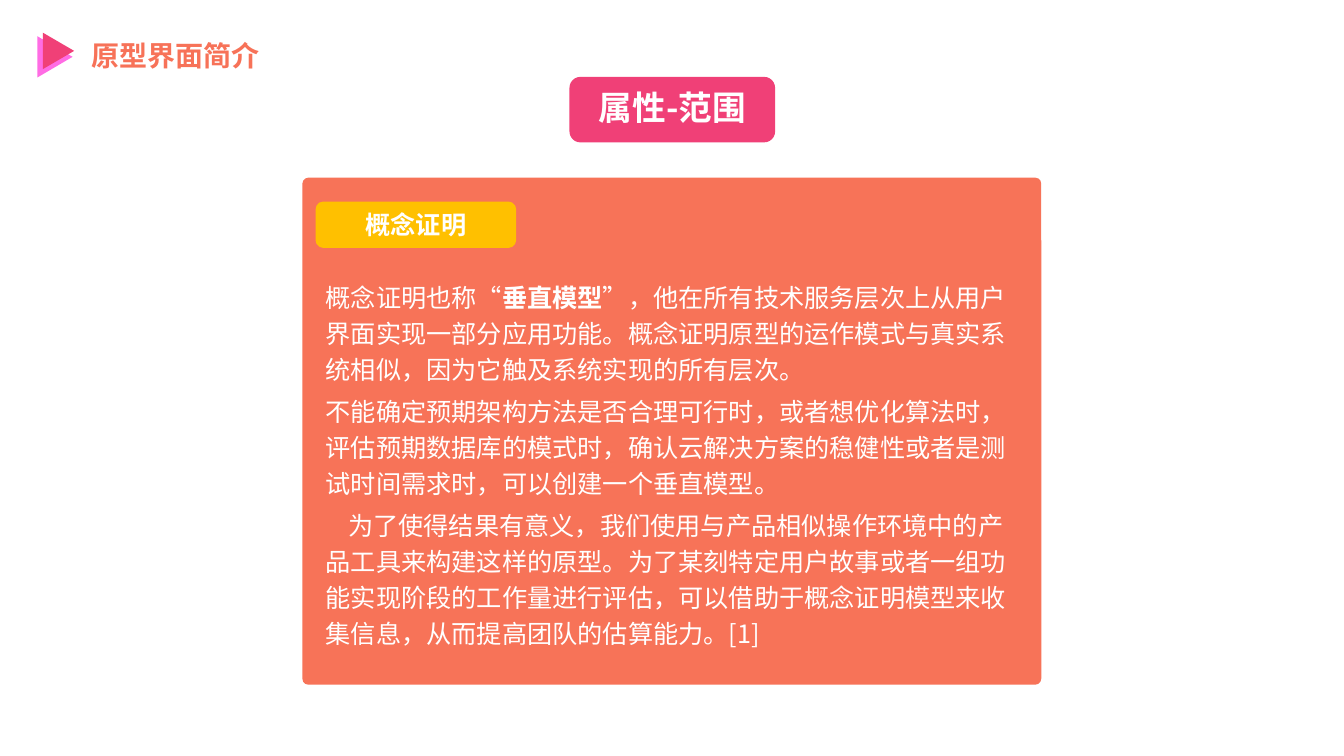
"""Build the slide that introduces the proof-of-concept prototype."""
from dataclasses import dataclass

from lxml import etree
from pptx import Presentation
from pptx import util as u
from pptx.dml.color import RGBColor
from pptx.enum import shapes, text
from pptx.oxml.ns import qn


@dataclass(frozen=True)
class Theme:
    font: str = "Noto Sans CJK SC"
    coral: str = "F77258"
    panel: str = "F77358"
    pink: str = "F04077"
    violet: str = "FF6CE4"
    amber: str = "FFC000"
    white: str = "FFFFFF"
    title: int = 20
    heading: int = 24
    body: int = 18


theme = Theme()


def add_block(kind, left, top, width, height, color, rotation=0):
    block = page.shapes.add_shape(kind, u.Pt(left), u.Pt(top), u.Pt(width), u.Pt(height))
    block.shadow.inherit = False
    block.fill.solid()
    block.fill.fore_color.rgb = RGBColor.from_string(color)
    block.line.fill.background()
    block.rotation = rotation
    return block


def add_span(para, words, size, color, bold):
    span = para.add_run()
    span.text = words
    span.font.name = theme.font
    span.font.size = u.Pt(size)
    span.font.bold = bold
    span.font.color.rgb = RGBColor.from_string(color)
    east_asian = etree.SubElement(span.font._element, qn("a:ea"))
    east_asian.set("typeface", theme.font)


deck = Presentation()
deck.slide_width, deck.slide_height = u.Pt(960), u.Pt(540)
page = deck.slides.add_slide(deck.slide_layouts[1])
title, body = page.placeholders

triangle = shapes.MSO_SHAPE.ISOSCELES_TRIANGLE
rounded = shapes.MSO_SHAPE.ROUNDED_RECTANGLE
add_block(triangle, 24.5, 28, 29.5, 25.2, theme.violet, 90)
add_block(triangle, 28.8, 25.2, 26, 22.3, theme.pink, 90)
add_block(rounded, 406.8, 54.9, 146.9, 46.8, theme.pink)
panel = add_block(rounded, 216, 126.9, 527.8, 362.2, theme.panel)
panel.adjustments[0] = 0.012
add_block(rounded, 225.4, 144, 143.3, 33.1, theme.amber)

heading = page.shapes.add_textbox(0, 0, 0, 0)
label = page.shapes.add_textbox(0, 0, 0, 0)
page.shapes._spTree.append(body._element)

for box, left, top, width, height in [
    (title, 58.3, 23.8, 159.8, 31.7),
    (heading, 404.6, 58.3, 151.2, 36),
    (label, 223.2, 146.2, 147.6, 28.8),
    (body, 225.4, 193.7, 507.6, 277.9),
]:
    box.left, box.top, box.width, box.height = map(u.Pt, (left, top, width, height))
    box.text_frame.word_wrap = True
    box.text_frame.auto_size = text.MSO_AUTO_SIZE.NONE
    box.text_frame.vertical_anchor = text.MSO_ANCHOR.TOP

for box, words, size, color, align in [
    (title, "原型界面简介", theme.title, theme.coral, text.PP_ALIGN.LEFT),
    (heading, "属性-范围", theme.heading, theme.white, text.PP_ALIGN.CENTER),
    (label, "概念证明", theme.body, theme.white, text.PP_ALIGN.CENTER),
]:
    para = box.text_frame.paragraphs[0]
    para.alignment = align
    add_span(para, words, size, color, True)

paragraphs = [
    (0, [
        ("概念证明也称“", False),
        ("垂直模型", True),
        ("”，他在所有技术服务层次上从用户界面实现一部分应用功能。"
         "概念证明原型的运作模式与真实系统相似，因为它触及系统实现的所有层次。", False),
    ]),
    (0, [
        ("不能确定预期架构方法是否合理可行时，或者想优化算法时，评估预期数据库的模式时，"
         "确认云解决方案的稳健性或者是测试时间需求时，可以创建一个垂直模型。", False),
    ]),
    (16, [
        ("为了使得结果有意义，我们使用与产品相似操作环境中的产品工具来构建这样的原型。"
         "为了某刻特定用户故事或者一组功能实现阶段的工作量进行评估，"
         "可以借助于概念证明模型来收集信息，从而提高团队的估算能力。[1]", False),
    ]),
]
for index, (indent, spans) in enumerate(paragraphs):
    para = body.text_frame.paragraphs[0] if index == 0 else body.text_frame.add_paragraph()
    para.line_spacing = 1.2
    para.space_before = u.Pt(3.6 if index else 0)
    properties = para._p.get_or_add_pPr()
    properties.set("marL", "0")
    properties.set("indent", str(u.Pt(indent)))
    etree.SubElement(properties, qn("a:buNone"))
    for words, bold in spans:
        add_span(para, words, theme.body, theme.white, bold)

deck.save("out.pptx")
